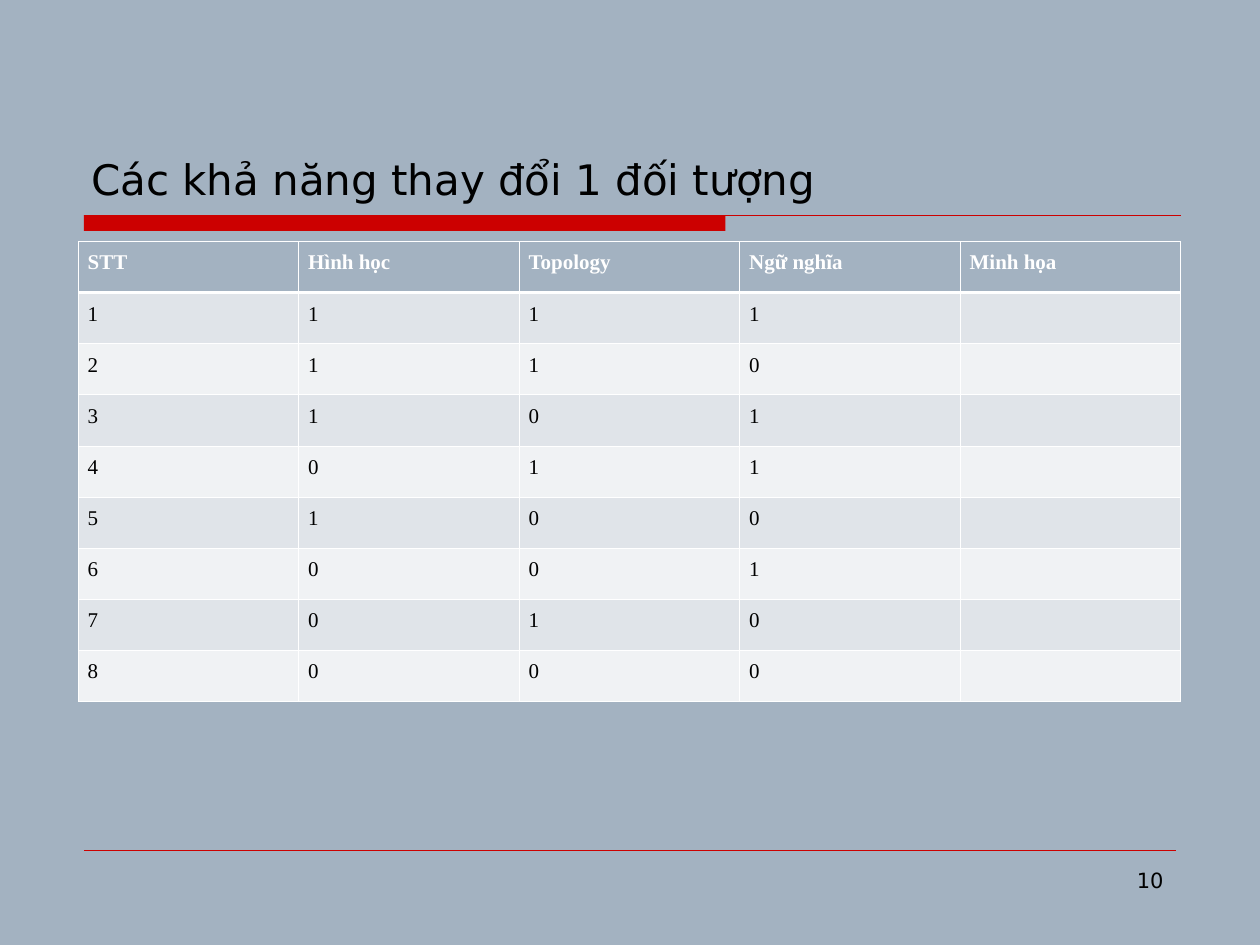
"""Build a slide with a table of the possible changes to one object."""
import pptx
import pptx.dml.color
import pptx.enum.shapes
import pptx.enum.text
import pptx.oxml
import pptx.oxml.ns
import pptx.util

Pt = pptx.util.Pt
ALIGN = pptx.enum.text.PP_ALIGN

TITLE = "Các khả năng thay đổi 1 đối tượng"
PAGE = "10"
HEADER = ["STT", "Hình học", "Topology", "Ngữ nghĩa", "Minh họa"]
CHANGES = ["111", "110", "101", "011", "100", "001", "010", "000"]
ROWS = [HEADER] + [[str(n), *bits, ""] for n, bits in enumerate(CHANGES, 1)]

BACK, RED, WHITE, BLACK = "A3B2C1", "CC0000", "FFFFFF", "000000"
BANDS = ["F0F2F4", "E0E4E9"]
TABLE_BOX = (44.7, 138, 630, 262.8)
THIN, THICK = 0.45, 1.47

TITLE_FONT = {"size": Pt(24), "name": "DejaVu Sans"}
PAGE_FONT = {"size": Pt(12), "name": "DejaVu Sans"}
CELL_FONT = {"size": Pt(12), "name": "Times New Roman"}
CELL_PARA = {"alignment": ALIGN.JUSTIFY, "line_spacing": 1.15, "space_after": Pt(6)}
CELL_MARGINS = {"margin_left": Pt(5.4), "margin_right": Pt(5.4),
                "margin_top": Pt(3.6), "margin_bottom": Pt(3.6)}


def rgb(color):
    return pptx.dml.color.RGBColor.from_string(color)


def apply(target, values):
    for name, value in values.items():
        setattr(target, name, value)


def fill(target, color):
    target.fill.solid()
    target.fill.fore_color.rgb = rgb(color)


def write(p, text, font, color):
    r = p.add_run()
    r.text = text
    apply(r.font, font)
    r.font.color.rgb = rgb(color)


def add_text(s, box, text, font, anchor, align):
    tf = s.shapes.add_textbox(*map(Pt, box)).text_frame
    apply(tf, {"word_wrap": True, "vertical_anchor": anchor})
    p = tf.paragraphs[0]
    p.alignment = align
    write(p, text, font, BLACK)


def add_line(s, left, right, y, width):
    line = s.shapes.add_connector(pptx.enum.shapes.MSO_CONNECTOR.STRAIGHT,
                                  Pt(left), Pt(y), Pt(right), Pt(y))
    line.line.color.rgb = rgb(RED)
    line.line.width = Pt(width)
    pptx.oxml.ns.qn("a:effectLst")
    line._element.spPr.append(pptx.oxml.parse_xml(
        f'<a:effectLst {pptx.oxml.ns.nsdecls("a")}/>'))


def add_borders(cell, widths):
    tcPr = cell._tc.get_or_add_tcPr()
    for side, width in widths.items():
        tcPr.append(pptx.oxml.parse_xml(
            f'<a:ln{side} {pptx.oxml.ns.nsdecls("a")} w="{int(Pt(width))}">'
            f'<a:solidFill><a:srgbClr val="{WHITE}"/></a:solidFill></a:ln{side}>'))


def format_cell(cell, text, row):
    apply(cell, CELL_MARGINS)
    add_borders(cell, {"L": THIN, "R": THIN, "T": THICK if row == 1 else THIN,
                       "B": THICK if row == 0 else THIN})
    fill(cell, BANDS[row % 2] if row else BACK)
    p = cell.text_frame.paragraphs[0]
    if text:
        apply(p, CELL_PARA)
        write(p, text, {**CELL_FONT, "bold": row == 0}, BLACK if row else WHITE)
    else:
        p._p.get_or_add_endParaRPr().set("sz", "1200")


def add_table(s):
    table = s.shapes.add_table(len(ROWS), len(HEADER), *map(Pt, TABLE_BOX)).table
    for row in table.rows:
        row.height = Pt(TABLE_BOX[3] / len(ROWS))
    for i, values in enumerate(ROWS):
        for j, text in enumerate(values):
            format_cell(table.cell(i, j), text, i)


def main():
    prs = pptx.Presentation()
    prs.slide_width, prs.slide_height = Pt(720), Pt(540)
    s = prs.slides.add_slide(prs.slide_layouts[6])
    fill(s.background, BACK)

    bar = s.shapes.add_shape(pptx.enum.shapes.MSO_SHAPE.RECTANGLE,
                             Pt(48), Pt(123), Pt(366.5), Pt(9))
    bar.shadow.inherit = False
    fill(bar, RED)
    bar.line.fill.background()
    add_line(s, 48, 674.7, 123, 0.75)
    add_line(s, 48, 672, 486, 0.25)

    anchor = pptx.enum.text.MSO_ANCHOR
    add_text(s, (45, 24, 630, 96), TITLE, TITLE_FONT, anchor.BOTTOM, ALIGN.LEFT)
    add_table(s)
    add_text(s, (516, 492, 156, 37.5), PAGE, PAGE_FONT, anchor.TOP, ALIGN.RIGHT)
    prs.save("out.pptx")


if __name__ == "__main__":
    main()
